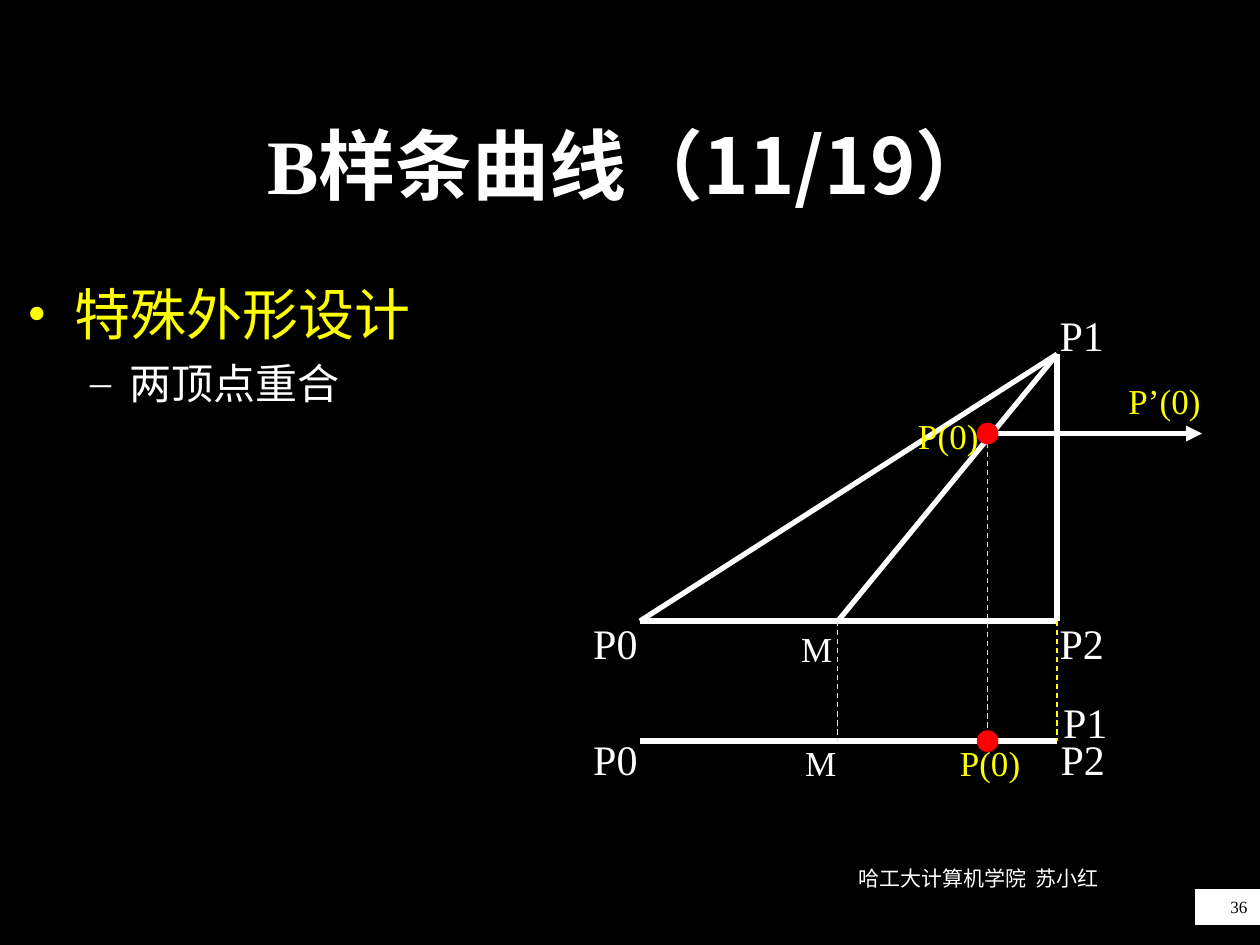
from lxml import etree
from pptx import Presentation
from pptx.dml.color import RGBColor
from pptx.enum.dml import MSO_LINE
from pptx.enum.shapes import MSO_CONNECTOR, MSO_SHAPE
from pptx.enum.text import MSO_ANCHOR, PP_ALIGN
from pptx.oxml.ns import qn
from pptx.util import Cm, Pt

BLACK = RGBColor(0, 0, 0)
WHITE = RGBColor(255, 255, 255)
YELLOW = RGBColor(255, 255, 0)
RED = RGBColor(255, 0, 0)
SERIF, SANS = "Times New Roman", "Noto Sans CJK SC"
DASH = MSO_LINE.DASH
STRAIGHT = MSO_CONNECTOR.STRAIGHT
OVAL, RECT = MSO_SHAPE.OVAL, MSO_SHAPE.RECTANGLE
LEFT, MID, RIGHT = PP_ALIGN.LEFT, PP_ALIGN.CENTER, PP_ALIGN.RIGHT
CENTER = MSO_ANCHOR.MIDDLE


def add_run(para, text, size, color, face=SERIF, bold=False):
    """Add one formatted run to a paragraph."""
    run = para.add_run()
    run.text = text
    font = run.font
    font.size, font.bold, font.name = Pt(size), bold, face
    font.color.rgb = color
    east = etree.SubElement(run._r.get_or_add_rPr(), qn("a:ea"))
    east.set("typeface", SANS)


def add_box(slide, x, y, w, h):
    """Add a wrapping text box and return its text frame."""
    frame = slide.shapes.add_textbox(Cm(x), Cm(y), Cm(w), Cm(h)).text_frame
    frame.word_wrap = True
    return frame


def add_label(slide, x, y, w, h, text, size, color, align=LEFT):
    """Add a one-line text box."""
    para = add_box(slide, x, y, w, h).paragraphs[0]
    para.alignment = align
    add_run(para, text, size, color)


def add_line(slide, start, end, color=WHITE, width=3, dash=None, arrow=False):
    """Draw a straight line between two points."""
    line = slide.shapes.add_connector(STRAIGHT, *map(Cm, start + end))
    line.line.color.rgb = color
    line.line.width = Pt(width)
    if dash:
        line.line.dash_style = dash
    if arrow:
        tail = etree.SubElement(line.line._get_or_add_ln(), qn("a:tailEnd"))
        tail.set("type", "triangle")
    etree.SubElement(line._element.spPr, qn("a:effectLst"))


def add_solid(slide, kind, x, y, w, h, color):
    """Add a shape with fill and outline of one colour."""
    shape = slide.shapes.add_shape(kind, Cm(x), Cm(y), Cm(w), Cm(h))
    shape.shadow.inherit = False
    shape.fill.solid()
    shape.fill.fore_color.rgb = color
    shape.line.color.rgb = color
    shape.line.width = Pt(0.75)
    return shape


def add_title(slide, x, y, w, h):
    """Place and fill the title."""
    title = slide.shapes.title
    title.left, title.top, title.width, title.height = map(Cm, (x, y, w, h))
    frame = title.text_frame
    frame.vertical_anchor = CENTER
    para = frame.paragraphs[0]
    para.alignment = MID
    add_run(para, "B", 44, WHITE, bold=True)
    add_run(para, "样条曲线（11/19）", 44, WHITE, SANS, True)


def add_list(slide, x, y, w, h):
    """Write the two-level bullet list."""
    frame = add_box(slide, x, y, w, h)
    rows = [("特殊外形设计", 32, YELLOW, "•", 0.95, 0.95, 0),
            ("两顶点重合", 24, WHITE, "–", 2.06, 0.79, 6)]
    for level, (text, size, color, mark, indent, hang, gap) in enumerate(rows):
        para = frame.add_paragraph() if level else frame.paragraphs[0]
        para.level = level
        para.space_before = Pt(gap)
        props = para._p.get_or_add_pPr()
        props.set("marL", str(Cm(indent)))
        props.set("indent", str(-Cm(hang)))
        tint = etree.SubElement(props, qn("a:buClr"))
        etree.SubElement(tint, qn("a:srgbClr")).set("val", str(color))
        etree.SubElement(props, qn("a:buFont")).set("typeface", SERIF)
        etree.SubElement(props, qn("a:buChar")).set("char", mark)
        add_run(para, text, size, color)


def add_figure(slide, x, y):
    """Draw the control triangle and its collapsed form below."""
    base, flat, mid = y + 6.4, y + 8.82, y + 2.62
    p0, p1, p2 = (x + 1.19, base), (x + 9.6, y + 1.02), (x + 9.6, base)
    m, p = (x + 5.18, base), (x + 8.2, mid)
    for start, end in [(p0, p2), (p0, p1), (p2, p1), (m, p1)]:
        add_line(slide, start, end)
    add_line(slide, p, (x + 12.52, mid), arrow=True)
    add_line(slide, (p0[0], flat), (p2[0], flat))
    for top in (p, m, p2):
        add_line(slide, top, (top[0], flat), YELLOW, 0.75, DASH)

    corners = [("P0", 0, 6.2), ("P2", 9.4, 6.2), ("P1", 9.4, 0),
               ("P0", 0, 8.54), ("P2", 9.42, 8.54), ("P1", 9.47, 7.8)]
    for text, dx, dy in corners:
        add_label(slide, x + dx, y + dy, 2, 1.27, text, 24, WHITE)
    points = [("M", 4.19, 6.4, WHITE), ("M", 4.27, 8.71, WHITE),
              ("P’(0)", 10.79, 1.4, YELLOW), ("P(0)", 6.55, 2.11, YELLOW),
              ("P(0)", 7.39, 8.71, YELLOW)]
    for text, dx, dy, color in points:
        add_label(slide, x + dx, y + dy, 2.41, 1.12, text, 20, color)

    size = 0.41
    for level in (mid, flat):
        add_solid(slide, OVAL, p[0] - size / 2, level - size / 2,
                  size, size, RED)


def add_number(slide, x, y, w, h):
    """Add the page number tile."""
    frame = add_solid(slide, RECT, x, y, w, h, WHITE).text_frame
    frame.vertical_anchor = CENTER
    para = frame.paragraphs[0]
    para.alignment = RIGHT
    add_run(para, "36", 9.8, BLACK)


def main():
    """Build and save the slide."""
    deck = Presentation()
    deck.slide_width, deck.slide_height = Cm(25.4), Cm(19.05)
    slide = deck.slides.add_slide(deck.slide_layouts[5])
    fill = slide.background.fill
    fill.solid()
    fill.fore_color.rgb = BLACK
    add_number(slide, 24.1, 17.93, 1.3, 0.71)
    add_label(slide, 15.7, 17.32, 8.05, 1.27, "哈工大计算机学院  苏小红",
              12, WHITE, MID)
    add_title(slide, 1.9, 1.7, 21.6, 3.18)
    add_list(slide, 0.3, 5.51, 21.6, 4.42)
    add_figure(slide, 11.71, 6.12)
    deck.save("out.pptx")


if __name__ == "__main__":
    main()
